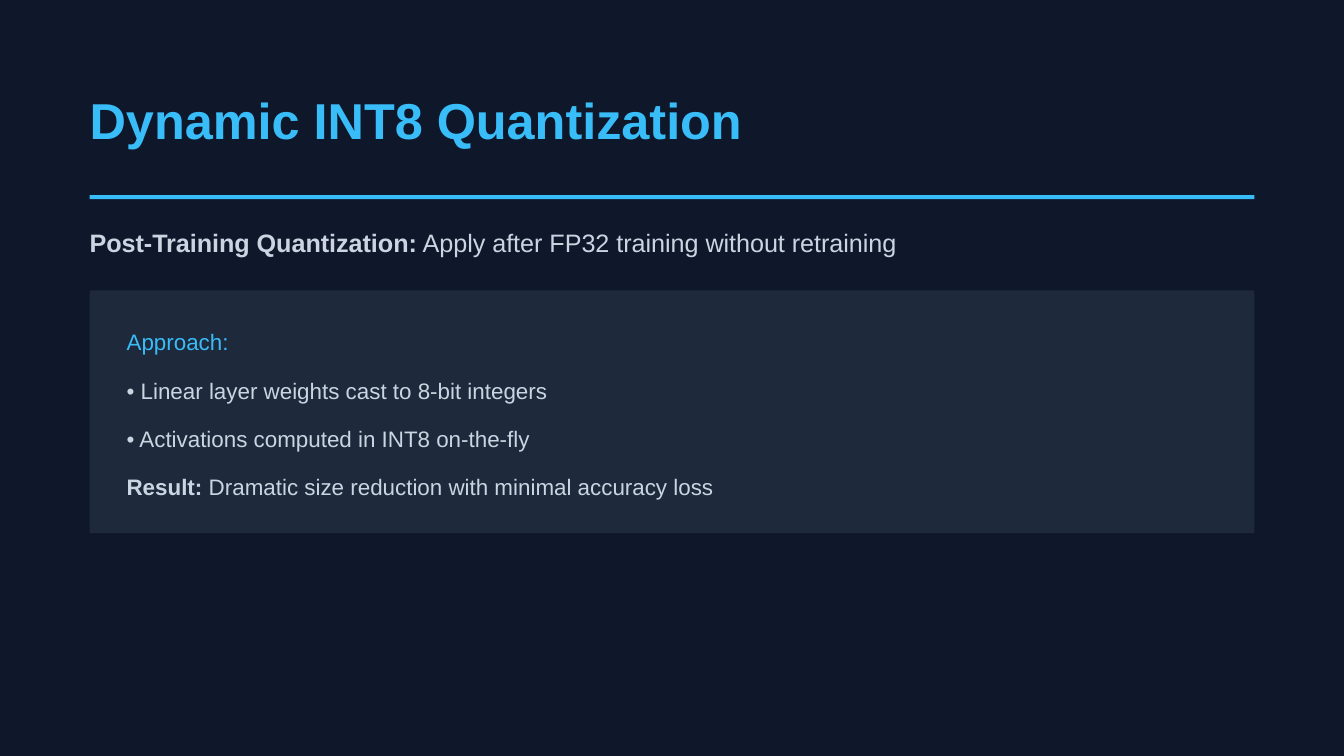
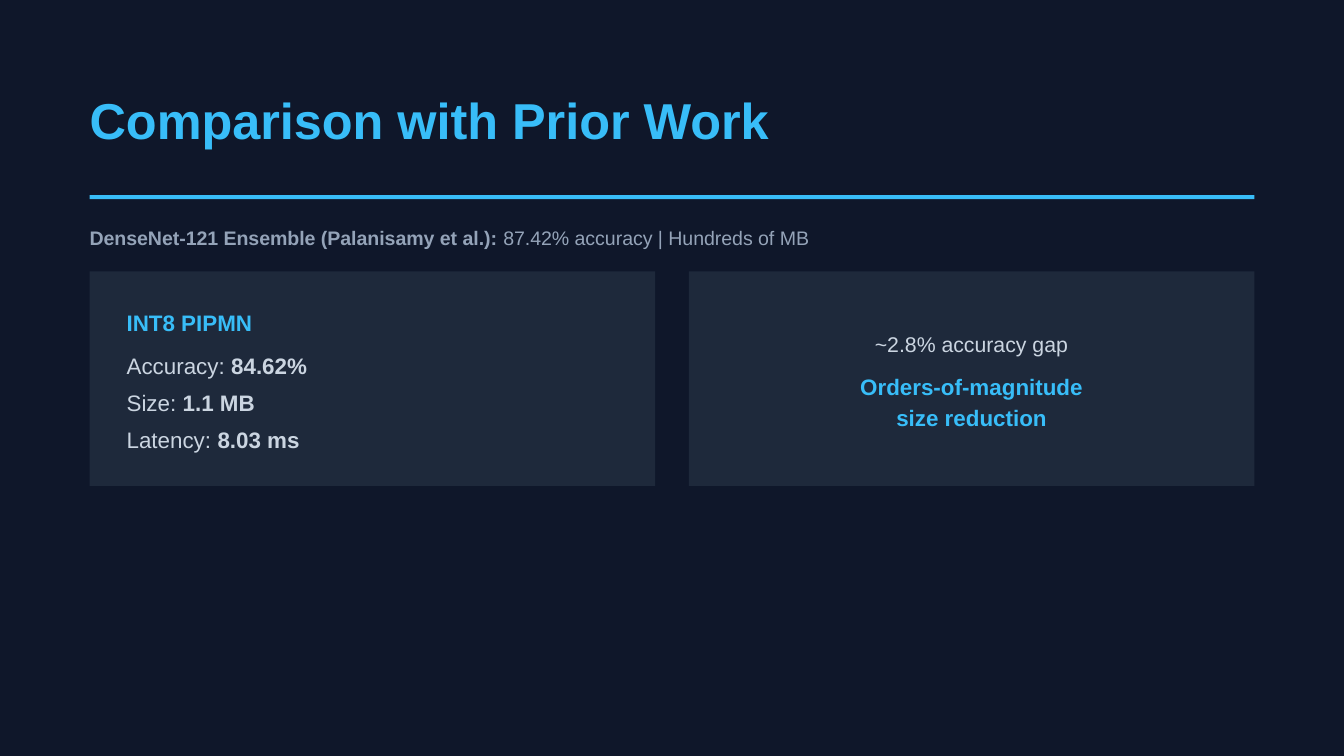
from dataclasses import dataclass

from pptx import Presentation
from pptx.dml.color import RGBColor
from pptx.enum.shapes import MSO_SHAPE as Shape
from pptx.enum.text import MSO_ANCHOR as Anchor, MSO_AUTO_SIZE as AutoSize, PP_ALIGN as Align
from pptx.util import Inches, Pt

# Theme
NAVY = RGBColor(0x0F, 0x17, 0x2A)
SLATE = RGBColor(0x1E, 0x29, 0x3B)
SKY = RGBColor(0x38, 0xBD, 0xF8)
LIGHT = RGBColor(0xCB, 0xD5, 0xE1)
MUTED = RGBColor(0x94, 0xA3, 0xB8)
FONT = "Arial"

# Grid, in percent of the slide's width and height
WIDTH, HEIGHT = Inches(10), Inches(5.625)
MARGIN = 6.67
CONTENT = 100 - 2 * MARGIN
GUTTER = 2.5
HALF = (CONTENT - GUTTER) / 2
PAD_X, PAD_Y = 2.75, 4.45
SLACK = 1.02  # text boxes run slightly wider than their column


@dataclass(frozen=True)
class Box:
    left: float
    top: float
    width: float
    height: float

    def emu(self) -> tuple[int, int, int, int]:
        return (round(self.left * WIDTH / 100), round(self.top * HEIGHT / 100),
                round(self.width * WIDTH / 100), round(self.height * HEIGHT / 100))


@dataclass(frozen=True)
class Line:
    """Text with **bold** parts, placed below the top of its card."""
    text: str
    offset: float
    color: RGBColor = LIGHT
    size: float = 12
    leading: float = 16.8
    align: Align = Align.LEFT


def write(tf, text: str, *, size: float, leading: float, color: RGBColor,
          align: Align = Align.LEFT) -> None:
    """Fill a text frame; each line of text becomes a paragraph."""
    tf.word_wrap = True
    tf.auto_size = AutoSize.NONE
    tf.vertical_anchor = Anchor.TOP
    tf.margin_left = tf.margin_right = tf.margin_top = tf.margin_bottom = 0
    for i, row in enumerate(text.split("\n")):
        p = tf.add_paragraph() if i else tf.paragraphs[0]
        p.alignment = align
        p.line_spacing = Pt(leading)
        p.space_before = p.space_after = Pt(0)
        for k, part in enumerate(row.split("**")):
            if part:
                r = p.add_run()
                r.text = part
                r.font.name, r.font.size = FONT, Pt(size)
                r.font.bold = k % 2 == 1
                r.font.color.rgb = color


def text_height(text: str, leading: float) -> float:
    return 100 * Pt(leading) * (text.count("\n") + 1) / HEIGHT


def add_text(s, left: float, top: float, width: float, text: str, *,
             leading: float, **fmt) -> None:
    box = Box(left, top, width, text_height(text, leading))
    write(s.shapes.add_textbox(*box.emu()).text_frame, text, leading=leading, **fmt)


def add_rect(s, box: Box, color: RGBColor) -> None:
    sp = s.shapes.add_shape(Shape.RECTANGLE, *box.emu())
    sp.shadow.inherit = False
    sp.fill.solid()
    sp.fill.fore_color.rgb = color
    sp.line.fill.background()


def add_card(s, box: Box, lines: list[Line]) -> None:
    add_rect(s, box, SLATE)
    inner = box.width - 2 * PAD_X
    for line in lines:
        width = inner if line.align == Align.CENTER else inner * SLACK
        add_text(s, box.left + PAD_X, box.top + line.offset, width, line.text,
                 size=line.size, leading=line.leading, color=line.color, align=line.align)


def add_slide(prs, title: str, lead: str, *, size: float, leading: float, color: RGBColor):
    """Title, rule and lead sentence shared by the slides."""
    s = prs.slides.add_slide(prs.slide_layouts[5])
    sp = s.shapes.title
    sp.left, sp.top, sp.width, sp.height = Box(MARGIN, 11.85, CONTENT * SLACK, 8).emu()
    write(sp.text_frame, f"**{title}**", size=27, leading=32.4, color=SKY)
    add_rect(s, Box(MARGIN, 25.8, CONTENT, 0.55), SKY)
    add_text(s, MARGIN, 29.35, CONTENT * SLACK, lead, size=size, leading=leading, color=color)
    return s


def quantization_slide(prs) -> None:
    s = add_slide(prs, "Dynamic INT8 Quantization",
                  "**Post-Training Quantization:** Apply after FP32 training without retraining",
                  size=13.5, leading=18.9, color=LIGHT)
    rows = ["Approach:",
            "• Linear layer weights cast to 8-bit integers",
            "• Activations computed in INT8 on-the-fly",
            "**Result:** Dramatic size reduction with minimal accuracy loss"]
    add_card(s, Box(MARGIN, 38.4, CONTENT, 32.15),
             [Line(row, PAD_Y + 6.4 * i, LIGHT if i else SKY) for i, row in enumerate(rows)])


def comparison_slide(prs) -> None:
    s = add_slide(prs, "Comparison with Prior Work",
                  "**DenseNet-121 Ensemble (Palanisamy et al.):** 87.42% accuracy | Hundreds of MB",
                  size=10.5, leading=14.7, color=MUTED)
    metrics = ["Accuracy: **84.62%**", "Size: **1.1 MB**", "Latency: **8.03 ms**"]
    results = [Line("**INT8 PIPMN**", PAD_Y, SKY)]
    results += [Line(row, 10.1 + 4.9 * i) for i, row in enumerate(metrics)]
    tradeoff = [Line("~2.8% accuracy gap", 7.3, size=11.4, leading=16, align=Align.CENTER),
                Line("**Orders-of-magnitude**\n**size reduction**", 12.8, SKY, align=Align.CENTER)]
    for i, lines in enumerate([results, tradeoff]):
        add_card(s, Box(MARGIN + i * (HALF + GUTTER), 35.9, HALF, 28.4), lines)


def main() -> None:
    prs = Presentation()
    prs.slide_width, prs.slide_height = WIDTH, HEIGHT
    fill = prs.slide_master.background.fill
    fill.solid()
    fill.fore_color.rgb = NAVY
    quantization_slide(prs)
    comparison_slide(prs)
    prs.save("out.pptx")


if __name__ == "__main__":
    main()
